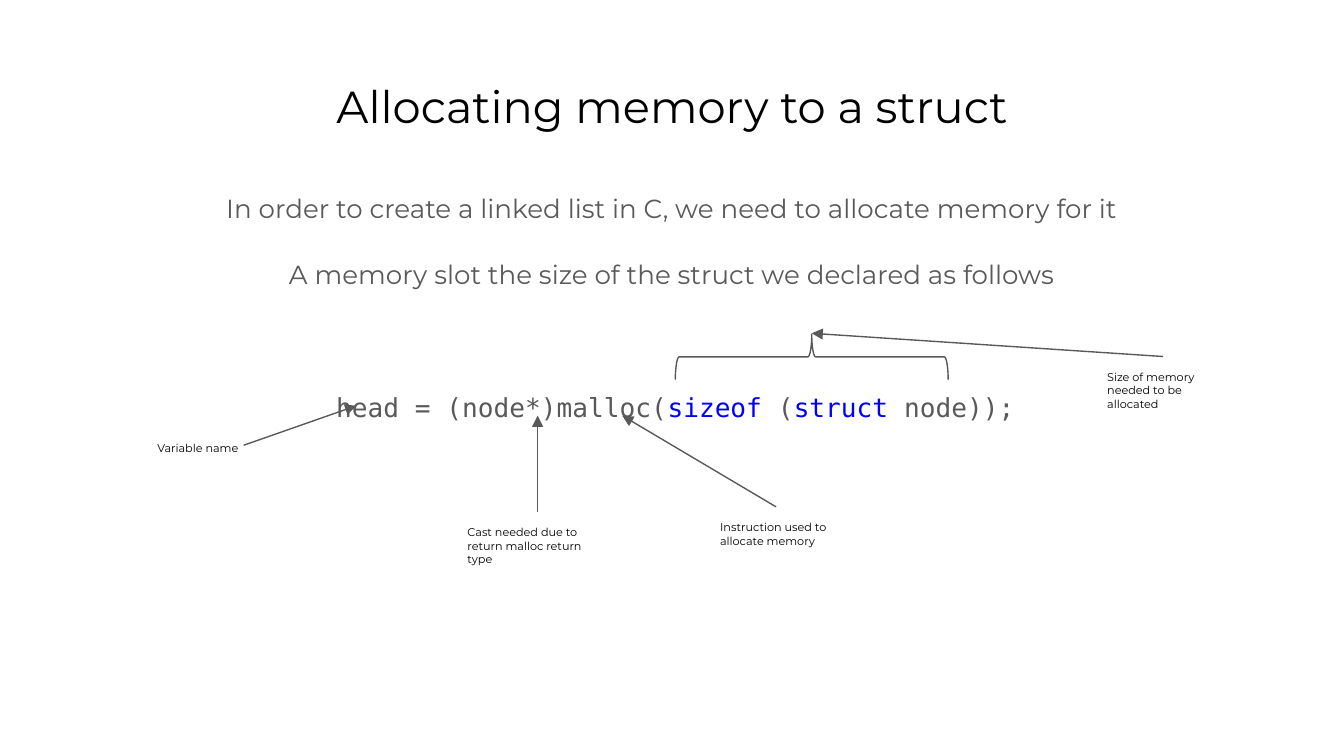
from dataclasses import dataclass
from typing import Optional

from lxml import etree
from pptx import Presentation
from pptx import util as u
from pptx.dml.color import RGBColor
from pptx.enum import shapes, text
from pptx.oxml import ns

COLORS = {"title": "000000", "body": "595959", "keyword": "0000FF", "line": "595959"}
SANS = "Montserrat"
MONO = "DejaVu Sans Mono"
COLUMNS = 100
SLIDE_WIDTH = u.Inches(10)
SLIDE_HEIGHT = SLIDE_WIDTH * 9 // 16
CELL = SLIDE_WIDTH / COLUMNS


@dataclass(frozen=True)
class Box:
    column: float
    row: float
    columns: float
    rows: float


@dataclass(frozen=True)
class Run:
    words: str
    color: str = "body"
    font: str = MONO


@dataclass(frozen=True)
class Callout:
    label: str
    box: Box
    target: tuple[float, float]
    start: Optional[tuple[float, float]] = None


TITLE = Run("Allocating memory to a struct", "title", SANS)
TITLE_BOX = Box(3.4, 4.87, 93.2, 6.3)
BODY_BOX = Box(3.4, 13, 93.2, 37.4)
BRACE_BOX = Box(58.7, 16.4, 3.4, 20.3)

LINES = [
    (0, [Run("In order to create a linked list in C, we need to allocate memory for it", font=SANS)]),
    (16, [Run("A memory slot the size of the struct we declared as follows", font=SANS)]),
    (51.6, [
        Run(" ", font=SANS),
        Run("head = (node*)malloc("),
        Run("sizeof", "keyword"),
        Run(" ("),
        Run("struct", "keyword"),
        Run(" node));"),
    ]),
]

CALLOUTS = [
    Callout("Variable name", Box(10.73, 31.87, 10.3, 3.2), (26.5, 30.2), (18.13, 33.13)),
    Callout("Cast needed due to return malloc return type", Box(33.8, 38.1, 12.4, 4.4), (40, 30.93)),
    Callout("Instruction used to allocate memory", Box(52.6, 37.72, 10.3, 3.2), (46.3, 30.93)),
    Callout("Size of memory needed to be allocated", Box(81.4, 26.53, 10.3, 3.2), (60.4, 24.8)),
]


def cells(count: float) -> int:
    return round(count * CELL)


def frame(box: Box) -> tuple[int, int, int, int]:
    return cells(box.column), cells(box.row), cells(box.columns), cells(box.rows)


def rgb(name: str) -> RGBColor:
    return RGBColor.from_string(COLORS[name])


def add_run(paragraph, run: Run, size: float) -> None:
    piece = paragraph.add_run()
    piece.text = run.words
    piece.font.size = u.Pt(size)
    piece.font.name = run.font
    piece.font.color.rgb = rgb(run.color)


def prepare_text(shape):
    text_frame = shape.text_frame
    text_frame.word_wrap = True
    text_frame.auto_size = text.MSO_AUTO_SIZE.NONE
    text_frame.vertical_anchor = text.MSO_ANCHOR.TOP
    text_frame.margin_left = text_frame.margin_right = u.Inches(0.1)
    text_frame.margin_top = text_frame.margin_bottom = u.Inches(0.1)
    return text_frame


def place(shape, box: Box):
    shape.left, shape.top, shape.width, shape.height = frame(box)
    return prepare_text(shape)


def fill_title(shape) -> None:
    paragraph = place(shape, TITLE_BOX).paragraphs[0]
    paragraph.alignment = text.PP_ALIGN.CENTER
    add_run(paragraph, TITLE, 24)


def fill_body(shape) -> None:
    text_frame = place(shape, BODY_BOX)
    for index, (space, runs) in enumerate(LINES):
        paragraph = text_frame.add_paragraph() if index else text_frame.paragraphs[0]
        paragraph.alignment = text.PP_ALIGN.CENTER
        paragraph.line_spacing = 1.15
        paragraph.space_before = u.Pt(space)
        properties = paragraph._p.get_or_add_pPr()
        properties.set("marL", "0")
        properties.set("indent", "0")
        etree.SubElement(properties, ns.qn("a:buNone"))
        for run in runs:
            add_run(paragraph, run, 14)


def style_line(line) -> None:
    line.color.rgb = rgb("line")
    line.width = u.Pt(0.75)


def add_brace(slide) -> None:
    brace = slide.shapes.add_shape(shapes.MSO_SHAPE.RIGHT_BRACE, *frame(BRACE_BOX))
    brace.rotation = 270
    brace.shadow.inherit = False
    brace.fill.background()
    style_line(brace.line)


def add_callout(slide, callout: Callout) -> None:
    label = slide.shapes.add_textbox(*frame(callout.box))
    add_run(prepare_text(label).paragraphs[0], Run(callout.label, "title", SANS), 6)
    box = callout.box
    start = callout.start or (box.column + box.columns / 2, box.row)
    arrow = slide.shapes.add_connector(
        shapes.MSO_CONNECTOR.STRAIGHT, *map(cells, start + callout.target)
    )
    if callout.start is None:
        arrow.begin_connect(label, 0)
    style_line(arrow.line)
    etree.SubElement(arrow.line._get_or_add_ln(), ns.qn("a:tailEnd"), type="triangle")
    etree.SubElement(arrow._element.spPr, ns.qn("a:effectLst"))


def main() -> None:
    presentation = Presentation()
    presentation.slide_width = SLIDE_WIDTH
    presentation.slide_height = SLIDE_HEIGHT
    slide = presentation.slides.add_slide(presentation.slide_layouts[1])
    fill_title(slide.shapes.title)
    fill_body(slide.placeholders[1])
    add_brace(slide)
    for callout in CALLOUTS:
        add_callout(slide, callout)
    presentation.save("out.pptx")


if __name__ == "__main__":
    main()
